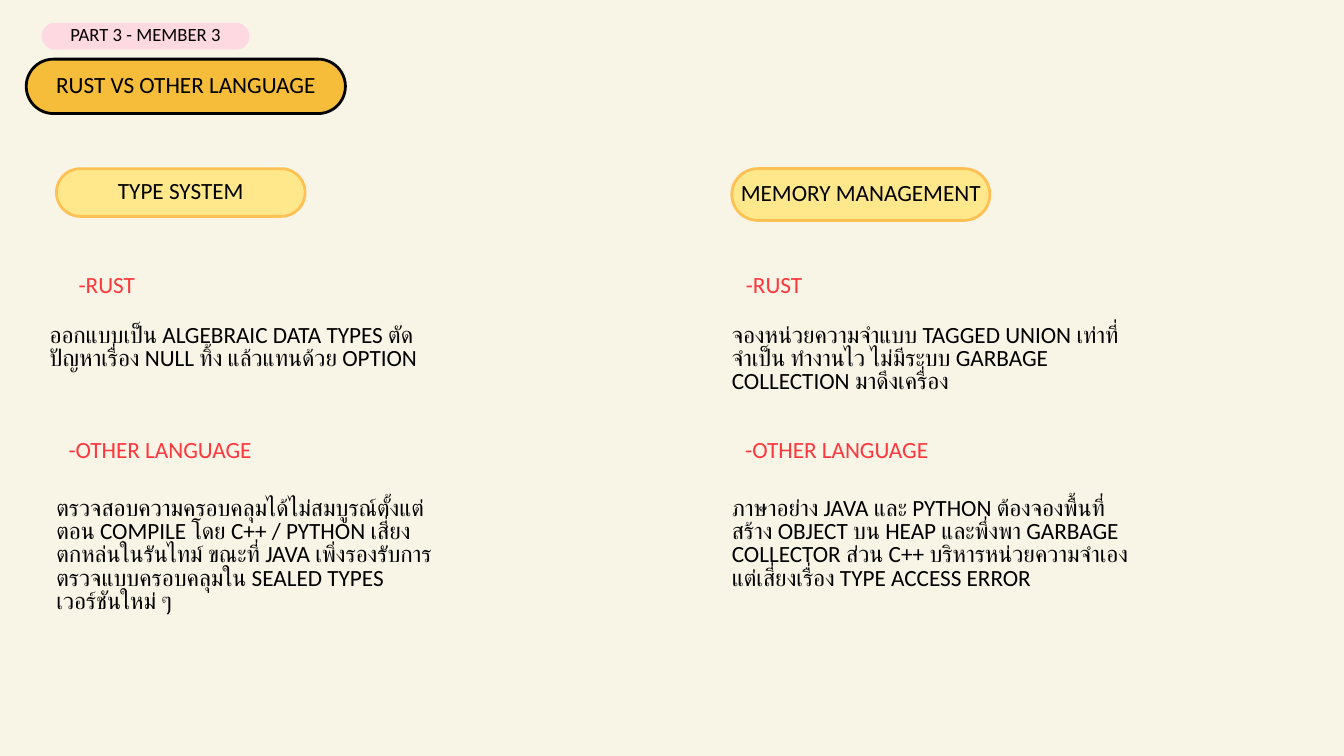
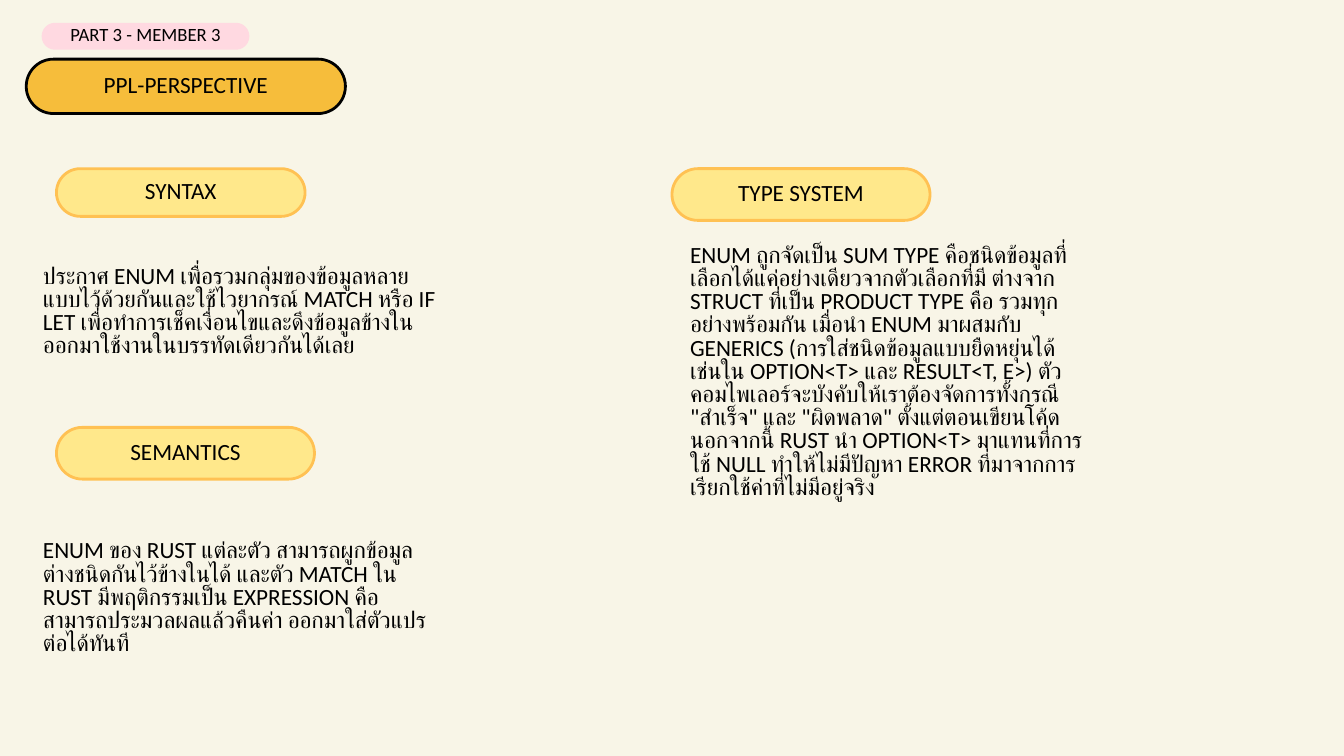
"""Build two slides comparing Rust enums with other languages."""
from dataclasses import dataclass

from lxml.etree import SubElement
from pptx import Presentation
from pptx.dml.color import RGBColor
from pptx.enum.shapes import MSO_SHAPE
from pptx.enum.text import MSO_ANCHOR, MSO_AUTO_SIZE, PP_ALIGN
from pptx.oxml.ns import qn
from pptx.util import Inches, Pt


@dataclass(frozen=True)
class Theme:
    font: str = "Calibri"
    paper: str = "F8F5E7"
    ink: str = "000000"
    red: str = "FF363C"
    title: tuple = ("F6BD3B", "000000")
    tag: tuple = ("FFD9E1", "FFD9E1")
    topic: tuple = ("FFE88B", "FFC153")
    size: float = 24.9
    tag_size: float = 20
    outline: float = 3


class Deck:
    COLS, ROWS = 20, 11.25
    TEXT_W, LINE_H = 5.9, 0.35

    def __init__(self, theme):
        self.theme = theme
        self.prs = Presentation()
        self.prs.slide_width, self.prs.slide_height = Inches(20), Inches(11.25)
        self.s = None

    def box(self, col, row, w, h):
        cw = self.prs.slide_width / self.COLS
        rh = self.prs.slide_height / self.ROWS
        return [int(v) for v in (col * cw, row * rh, w * cw, h * rh)]

    def slide(self, title):
        self.s = self.prs.slides.add_slide(self.prs.slide_layouts[6])
        fill = self.s.background.fill
        fill.solid()
        fill.fore_color.rgb = RGBColor.from_string(self.theme.paper)
        self.pill(title, 0.39, 0.88, 4.75, 0.81, self.theme.title)
        self.pill("PART 3 - MEMBER 3", 0.64, 0.36, 3.05, 0.36,
                  self.theme.tag, self.theme.tag_size)

    def style_text(self, tf, text, color, size, align):
        tf.text = text
        tf.margin_left = tf.margin_right = tf.margin_top = tf.margin_bottom = 0
        p = tf.paragraphs[0]
        p.alignment, p.line_spacing = align, Pt(size)
        for r in p.runs:
            r.font.size, r.font.name = Pt(size), self.theme.font
            r.font.color.rgb = RGBColor.from_string(color)
            SubElement(r._r.get_or_add_rPr(), qn("a:cs"), typeface=self.theme.font)

    def pill(self, text, col, row, w, h, colors, size=None):
        sp = self.s.shapes.add_shape(MSO_SHAPE.ROUNDED_RECTANGLE, *self.box(col, row, w, h))
        sp.adjustments[0] = 0.5
        sp.shadow.inherit = False
        sp.fill.solid()
        sp.fill.fore_color.rgb, sp.line.color.rgb = map(RGBColor.from_string, colors)
        sp.line.width = Pt(self.theme.outline)
        tf = sp.text_frame
        tf.word_wrap, tf.vertical_anchor = False, MSO_ANCHOR.MIDDLE
        self.style_text(tf, text, self.theme.ink, size or self.theme.size, PP_ALIGN.CENTER)

    def topic(self, text, col, row, w=3.84, h=0.77):
        self.pill(text, col, row, w, h, self.theme.topic)

    def text(self, text, col, row, lines=1, color=None):
        sp = self.s.shapes.add_textbox(*self.box(col, row, self.TEXT_W, lines * self.LINE_H))
        tf = sp.text_frame
        tf.word_wrap, tf.auto_size = True, MSO_AUTO_SIZE.SHAPE_TO_FIT_TEXT
        self.style_text(tf, text, color or self.theme.ink, self.theme.size, PP_ALIGN.LEFT)

    def heading(self, text, col, row):
        self.text(text, col, row, color=self.theme.red)


def comparison(deck):
    deck.slide("RUST VS OTHER LANGUAGE")
    deck.topic("TYPE SYSTEM", 0.84, 2.51, 3.7, 0.71)
    deck.topic("MEMORY MANAGEMENT", 10.89, 2.51)
    columns = [
        (1.17, 1.02, 0.74, 0.84,
         "ออกแบบเป็น ALGEBRAIC DATA TYPES ตัดปัญหาเรื่อง NULL ทิ้ง แล้วแทนด้วย OPTION",
         "ตรวจสอบความครอบคลุมได้ไม่สมบูรณ์ตั้งแต่ตอน COMPILE โดย C++ / PYTHON "
         "เสี่ยงตกหล่นในรันไทม์ ขณะที่ JAVA เพิ่งรองรับการตรวจแบบครอบคลุมใน "
         "SEALED TYPES เวอร์ชันใหม่ ๆ"),
        (11.1, 11.09, 10.89, 10.89,
         "จองหน่วยความจำแบบ TAGGED UNION เท่าที่จำเป็น ทำงานไว ไม่มีระบบ "
         "GARBAGE COLLECTION มาดึงเครื่อง",
         "ภาษาอย่าง JAVA และ PYTHON ต้องจองพื้นที่สร้าง OBJECT บน HEAP และพึ่งพา "
         "GARBAGE COLLECTOR ส่วน C++ บริหารหน่วยความจำเองแต่เสี่ยงเรื่อง "
         "TYPE ACCESS ERROR"),
    ]
    for rust_x, other_x, rust_body_x, other_body_x, rust, other in columns:
        deck.heading("-RUST", rust_x, 4.09)
        deck.text(rust, rust_body_x, 4.83, 3)
        deck.heading("-OTHER LANGUAGE", other_x, 6.55)
        deck.text(other, other_body_x, 7.41, 5)


def perspective(deck):
    deck.slide("PPL-PERSPECTIVE")
    deck.topic("SYNTAX", 0.84, 2.51, 3.7, 0.71)
    deck.text("ประกาศ ENUM เพื่อรวมกลุ่มของข้อมูลหลายแบบไว้ด้วยกันและใช้ไวยากรณ์ MATCH "
              "หรือ IF LET เพื่อทำการเช็คเงื่อนไขและดึงข้อมูลข้างใน"
              "ออกมาใช้งานในบรรทัดเดียวกันได้เลย", 0.64, 3.95, 5)
    deck.topic("SEMANTICS", 0.84, 6.36)
    deck.text("ENUM ของ RUST แต่ละตัว สามารถผูกข้อมูลต่างชนิดกันไว้ข้างในได้ และตัว MATCH "
              "ใน RUST มีพฤติกรรมเป็น EXPRESSION คือสามารถประมวลผลแล้วคืนค่า "
              "ออกมาใส่ตัวแปรต่อได้ทันที", 0.64, 8.04, 5)
    deck.topic("TYPE SYSTEM", 10, 2.51)
    deck.text("ENUM ถูกจัดเป็น SUM TYPE คือชนิดข้อมูลที่เลือกได้แค่อย่างเดียวจากตัวเลือกที่มี "
              "ต่างจาก STRUCT ที่เป็น PRODUCT TYPE คือ รวมทุกอย่างพร้อมกัน เมื่อนำ ENUM "
              "มาผสมกับ GENERICS (การใส่ชนิดข้อมูลแบบยืดหยุ่นได้ เช่นใน OPTION<T> และ "
              "RESULT<T, E>) ตัวคอมไพเลอร์จะบังคับให้เราต้องจัดการทั้งกรณี "
              "\"สำเร็จ\" และ \"ผิดพลาด\" ตั้งแต่ตอนเขียนโค้ด นอกจากนี้ RUST นำ OPTION<T> "
              "มาแทนที่การใช้ NULL ทำให้ไม่มีปัญหา ERROR "
              "ที่มาจากการเรียกใช้ค่าที่ไม่มีอยู่จริง", 10.27, 3.64, 12)


def main():
    deck = Deck(Theme())
    comparison(deck)
    perspective(deck)
    deck.prs.save("out.pptx")


if __name__ == "__main__":
    main()
